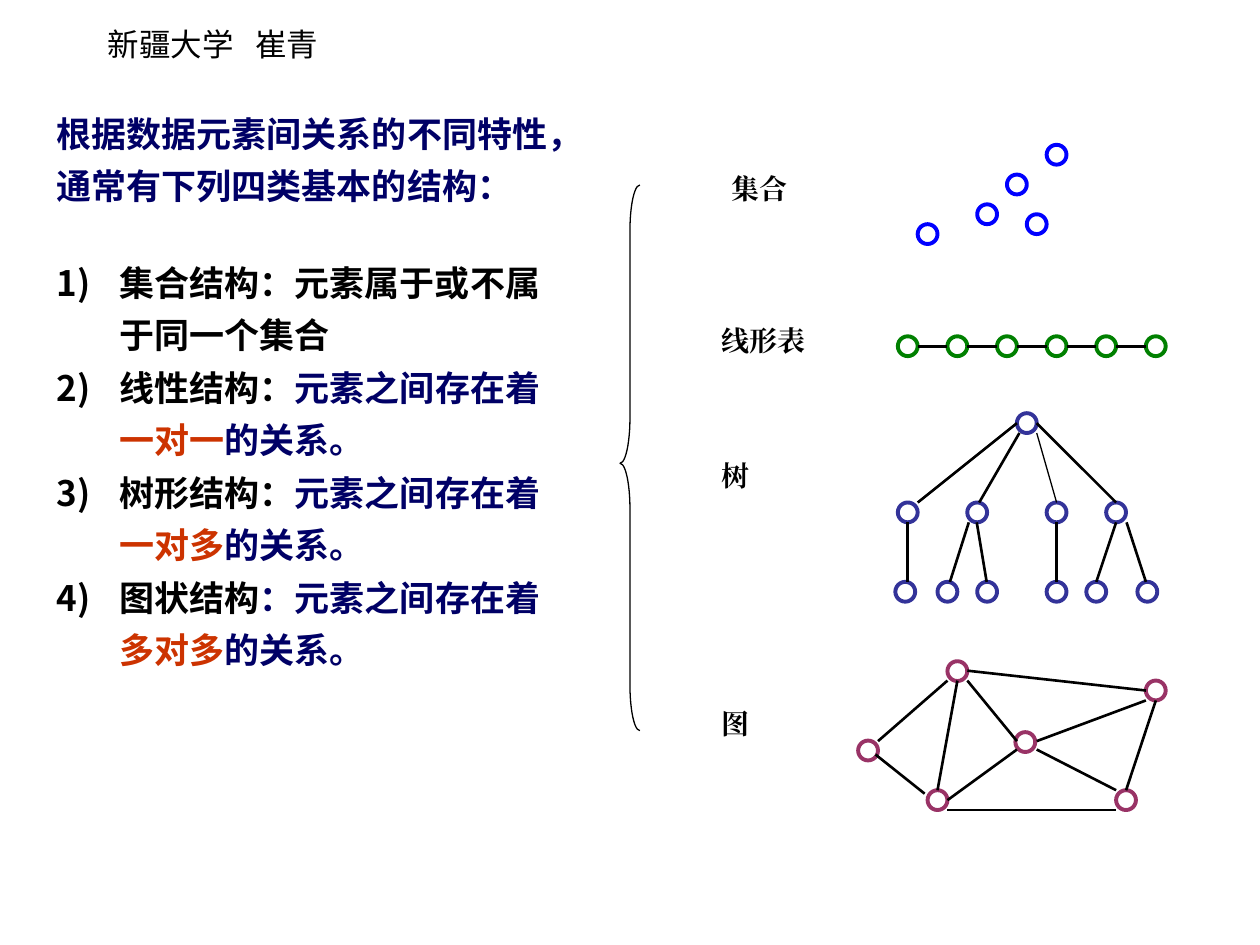
from typing import NamedTuple

from lxml import etree
from pptx import Presentation
from pptx.dml.color import RGBColor
from pptx.enum.shapes import MSO_CONNECTOR, MSO_SHAPE
from pptx.oxml.ns import qn
from pptx.util import Cm, Pt

OVAL = MSO_SHAPE.OVAL
BRACE = MSO_SHAPE.LEFT_BRACE
STRAIGHT = MSO_CONNECTOR.STRAIGHT

COLORS = {
    "black": "000000", "navy": "000066", "accent": "CC3300",
    "set": "0000FF", "list": "008000", "tree": "333399", "graph": "993366",
}
SANS = "Noto Sans CJK SC"
SERIF = "Times New Roman"
DIAMETER = 0.4
RADIUS = DIAMETER / 2


class Edge(NamedTuple):
    x1: float
    y1: float
    x2: float
    y2: float
    weight: float = 1.5


class Label(NamedTuple):
    text: str
    left: float
    top: float
    width: float


class Kind(NamedTuple):
    """One list item: runs of (text, colour)."""
    runs: list[tuple[str, str]]


prs = Presentation()
prs.slide_width, prs.slide_height = Cm(25.4), Cm(19.05)
slide = prs.slides.add_slide(prs.slide_layouts[6])


def rgb(name: str) -> RGBColor:
    return RGBColor.from_string(COLORS[name])


def add_run(paragraph, text: str, *, size=20, font=SANS, color="black", bold=True) -> None:
    run = paragraph.add_run()
    run.text = text
    run.font.size, run.font.bold, run.font.name = Pt(size), bold, font
    run.font.color.rgb = rgb(color)
    east_asian = etree.SubElement(run.font._element, qn("a:ea"))
    east_asian.set("typeface", font)


def add_frame(left: float, top: float, width: float, height: float):
    frame = slide.shapes.add_textbox(Cm(left), Cm(top), Cm(width), Cm(height)).text_frame
    frame.word_wrap = True
    return frame


def add_text(text: str, left: float, top: float, width: float, height: float,
             *, spacing=None, tab=None, **style) -> None:
    paragraph = add_frame(left, top, width, height).paragraphs[0]
    if tab:
        tabs = etree.SubElement(paragraph._p.get_or_add_pPr(), qn("a:tabLst"))
        etree.SubElement(tabs, qn("a:tab"), pos=str(Cm(tab)), algn="l")
    if spacing:
        paragraph.line_spacing = spacing
    add_run(paragraph, text, **style)


def number_paragraph(paragraph, indent: float) -> None:
    props = paragraph._p.get_or_add_pPr()
    props.set("marL", str(Cm(indent)))
    props.set("indent", str(-Cm(indent)))
    bullet_color = etree.SubElement(props, qn("a:buClr"))
    etree.SubElement(bullet_color, qn("a:srgbClr"), val=COLORS["black"])
    etree.SubElement(props, qn("a:buAutoNum"), type="arabicParenR")


def add_node(x: float, y: float, color: str) -> None:
    node = slide.shapes.add_shape(OVAL, Cm(x - RADIUS), Cm(y - RADIUS), Cm(DIAMETER), Cm(DIAMETER))
    node.shadow.inherit = False
    node.fill.background()
    node.line.color.rgb = rgb(color)
    node.line.width = Pt(2.25)


def add_edge(edge: Edge) -> None:
    line = slide.shapes.add_connector(STRAIGHT, Cm(edge.x1), Cm(edge.y1), Cm(edge.x2), Cm(edge.y2))
    line.line.color.rgb = rgb("black")
    line.line.width = Pt(edge.weight)
    etree.SubElement(line._element.spPr, qn("a:effectLst"))


def add_diagram(nodes: list[tuple[float, float]], edges: list[Edge], color: str) -> None:
    for x, y in nodes:
        add_node(x, y, color)
    for edge in edges:
        add_edge(edge)


# Author and introduction
add_text("新疆大学\t崔青", 1.92, 0.38, 4.8, 1.02, size=18, bold=False, tab=2.98)
add_text("根据数据元素间关系的不同特性，通常有下列四类基本的结构：",
         0.89, 1.93, 10.8, 2.39, color="navy", spacing=1.25)

# Numbered list of the four structures
kinds = [Kind([("集合结构：元素属于或不属于同一个集合", "black")])]
for name, between, relation in (("线性结构：", "元素之间存在着", "一对一"),
                                ("树形结构：", "元素之间存在着", "一对多"),
                                ("图状结构", "：元素之间存在着", "多对多")):
    kinds.append(Kind([(name, "black"), (between, "navy"),
                       (relation, "accent"), ("的关系。", "navy")]))
kind_list = add_frame(0.89, 4.93, 10.8, 8.74)
for i, kind in enumerate(kinds):
    item = kind_list.add_paragraph() if i else kind_list.paragraphs[0]
    number_paragraph(item, 1.27)
    item.line_spacing = 1.25
    for text, color in kind.runs:
        add_run(item, text, color=color)

# Brace and diagram labels
brace = slide.shapes.add_shape(BRACE, Cm(12.5), Cm(3.73), Cm(0.4), Cm(11))
brace.adjustments[0], brace.adjustments[1] = 2.29, 0.51
brace.shadow.inherit = False
brace.fill.background()
brace.line.color.rgb = rgb("black")
brace.line.width = Pt(0.75)

for label in (Label("集合", 14.5, 3.33, 1.8), Label("线形表", 14.3, 6.4, 3.2),
              Label("树", 14.3, 9.12, 1.8), Label("图", 14.3, 14.12, 1.8)):
    add_text(label.text, label.left, label.top, label.width, 0.94, size=16, font=SERIF)

# Set: unconnected elements
add_diagram([(21.3, 3.12), (20.5, 3.72), (20.9, 4.52), (19.9, 4.32), (18.7, 4.72)], [], "set")

# Linear list: six elements, 1 cm apart
list_y = 6.98
list_xs = [18.3 + i for i in range(6)]
add_diagram([(x, list_y) for x in list_xs],
            [Edge(x + RADIUS, list_y, x + 1 - RADIUS, list_y) for x in list_xs[:-1]], "list")

# Tree: a root, four branches and six leaves
root_y, branch_y, leaf_y = 8.53, 10.33, 11.93
tree_nodes = [(20.7, root_y)]
tree_nodes += [(x, branch_y) for x in (18.3, 19.7, 21.3, 22.5)]
tree_nodes += [(x, leaf_y) for x in (18.25, 19.1, 19.9, 21.3, 22.1, 23.13)]
branch_top = branch_y - RADIUS
tree_edges = [
    Edge(20.5, root_y, 18.5, branch_top),
    Edge(20.55, root_y + RADIUS, 19.74, branch_top),
    Edge(20.9, root_y + RADIUS, 21.3, branch_top, 0.75),
    Edge(20.9, root_y, 22.5, branch_top),
]
tree_edges += [Edge(x1, branch_y + RADIUS, x2, leaf_y - RADIUS)
               for x1, x2 in ((18.3, 18.3), (19.53, 19.15), (19.69, 19.89),
                              (21.3, 21.3), (22.5, 22.1), (22.71, 23.1))]
add_diagram(tree_nodes, tree_edges, "tree")

# Graph: six nodes, ten edges
graph_nodes = [(23.3, 13.92), (20.67, 14.96), (17.5, 15.13),
               (19.3, 13.53), (22.7, 16.13), (18.9, 16.13)]
graph_edges = [
    Edge(19.1, 13.72, 17.7, 14.94), Edge(17.65, 15.21, 18.64, 16),
    Edge(19.3, 13.72, 18.9, 15.93), Edge(19.5, 13.72, 20.5, 14.94),
    Edge(20.5, 15.11, 19.1, 16.13), Edge(19.5, 13.52, 23.1, 13.92),
    Edge(20.9, 14.94, 23.1, 14.12), Edge(20.9, 15.11, 22.5, 15.93),
    Edge(19.1, 16.33, 22.5, 16.33), Edge(23.3, 14.12, 22.7, 15.93),
]
add_diagram(graph_nodes, graph_edges, "graph")

prs.save("out.pptx")
